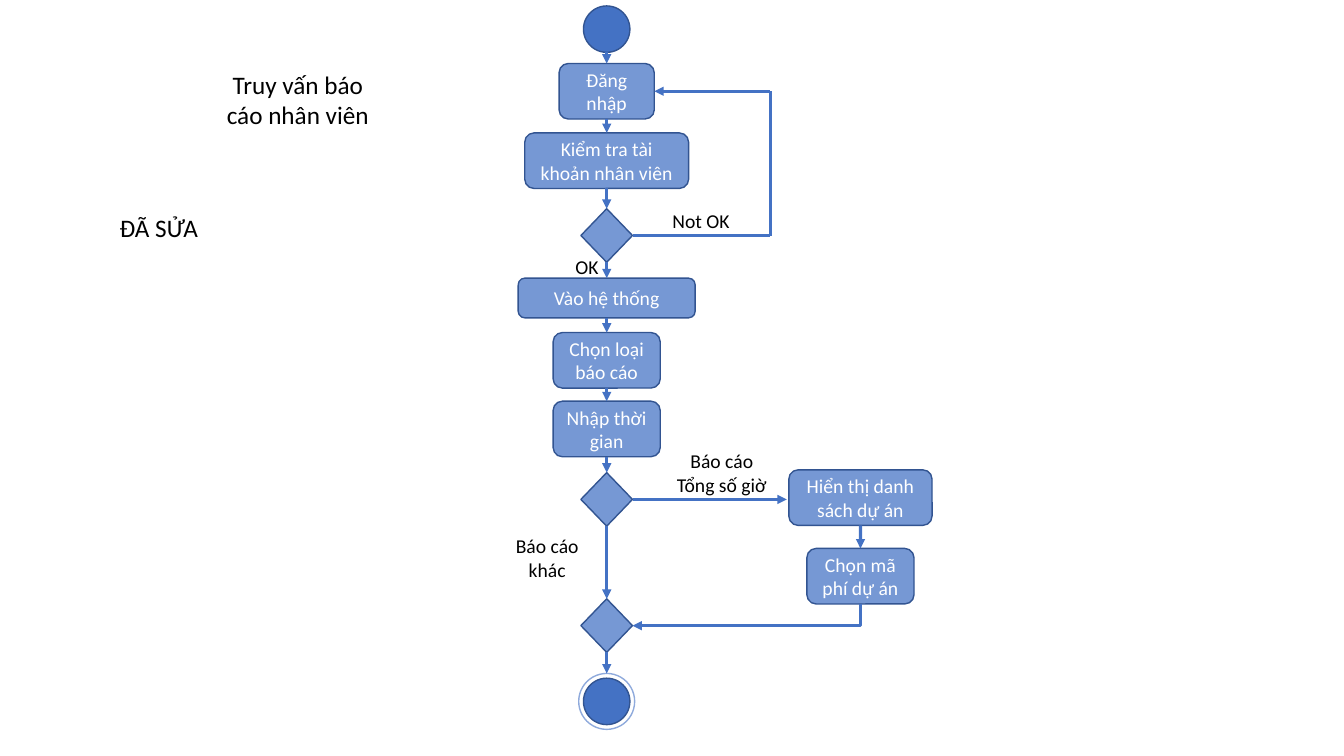
"""Activity diagram slide for querying employee reports."""
import dataclasses

import pptx
import pptx.dml.color
import pptx.enum.shapes
import pptx.enum.text
import pptx.oxml
import pptx.oxml.ns
import pptx.util

Cm = pptx.util.Cm
Pt = pptx.util.Pt
RGB = pptx.dml.color.RGBColor.from_string
SHAPE = pptx.enum.shapes.MSO_SHAPE
CONNECTOR = pptx.enum.shapes.MSO_CONNECTOR
TOP, LEFT, BOTTOM, RIGHT = range(4)


@dataclasses.dataclass(frozen=True)
class Theme:
    """Colours, type sizes and line widths in one place."""
    step: str = "7698D4"
    accent: str = "4472C4"
    outline: str = "325491"
    ring: str = "8FAADC"
    light: str = "FFFFFF"
    dark: str = "000000"
    font: str = "Calibri"
    head: int = 18
    body: int = 14
    thin: float = 1
    thick: float = 2.25


THEME = Theme()
STEP_H = 1.4
DECISION_W, DECISION_H = 1.3, 1.35
DOT = 1.17
RING = 1.41


def write(sp, text, size, color):
    """Write one centred, vertically centred run into a shape."""
    tf = sp.text_frame
    tf.word_wrap = True
    tf.auto_size = pptx.enum.text.MSO_AUTO_SIZE.NONE
    tf.vertical_anchor = pptx.enum.text.MSO_ANCHOR.MIDDLE
    p = tf.paragraphs[0]
    p.alignment = pptx.enum.text.PP_ALIGN.CENTER
    r = p.add_run()
    r.text = text
    r.font.name = THEME.font
    r.font.size = Pt(size)
    r.font.color.rgb = RGB(color)


def node(s, kind, cx, y, w, h, text="", fill=THEME.step, line=THEME.outline):
    """Add a flow node centred on cx with its top at y."""
    sp = s.shapes.add_shape(kind, Cm(cx - w / 2), Cm(y), Cm(w), Cm(h))
    sp.shadow.inherit = False
    if fill:
        sp.fill.solid()
        sp.fill.fore_color.rgb = RGB(fill)
    else:
        sp.fill.background()
    sp.line.color.rgb = RGB(line)
    sp.line.width = Pt(THEME.thin)
    if text:
        write(sp, text, THEME.body, THEME.light)
    return sp


def label(s, box, text, size=THEME.body):
    """Add a text box in the given box."""
    write(s.shapes.add_textbox(*map(Cm, box)), text, size, THEME.dark)


def link(s, start, end, head=True, kind=CONNECTOR.STRAIGHT):
    """Connect two ends, each a point or a (shape, side) pair."""
    joined = [isinstance(e[0], pptx.shapes.autoshape.Shape) for e in (start, end)]
    points = [(0, 0) if j else e for j, e in zip(joined, (start, end))]
    con = s.shapes.add_connector(kind, *points[0], *points[1])
    if joined[0]:
        con.begin_connect(*start)
    if joined[1]:
        con.end_connect(*end)
    con.line.color.rgb = RGB(THEME.accent)
    con.line.width = Pt(THEME.thick)
    if head:
        pptx.oxml.ns.qn("a:tailEnd")
        ln = con.line._get_or_add_ln()
        ln.append(pptx.oxml.parse_xml(
            f'<a:tailEnd {pptx.oxml.ns.nsdecls("a")} type="triangle"/>'))
    con._element.spPr.append(pptx.oxml.parse_xml(
        f'<a:effectLst {pptx.oxml.ns.nsdecls("a")}/>'))
    return con


def corner_link(s, start, end):
    """Connect down and then left with a single bend."""
    con = link(s, start, end, kind=CONNECTOR.ELBOW)
    x1, y1, x2, y2 = con.begin_x, con.begin_y, con.end_x, con.end_y
    w, h = y2 - y1, x1 - x2
    con.left, con.top = (x1 + x2 - w) // 2, (y1 + y2 - h) // 2
    con.width, con.height = w, h
    spPr = con._element.spPr
    xfrm = spPr.find(pptx.oxml.ns.qn("a:xfrm"))
    xfrm.attrib.pop("flipH", None)
    xfrm.set("rot", "5400000")
    spPr.find(pptx.oxml.ns.qn("a:prstGeom")).set("prst", "bentConnector2")


def main_flow(s, box):
    """Build the central column and return its two lower decisions."""
    x, y, w, h = box
    cx = x + w / 2
    steps = [
        ("Đăng nhập", 1.45, 2.4, STEP_H),
        ("Kiểm tra tài khoản nhân viên", 3.2, 4.13, STEP_H),
        (None, 5.11, DECISION_W, DECISION_H),
        ("Vào hệ thống", 6.86, w, 1),
        ("Chọn loại báo cáo", 8.23, 2.7, STEP_H),
        ("Nhập thời gian", 9.96, 2.7, STEP_H),
        (None, 11.76, DECISION_W, DECISION_H),
        (None, 14.94, DECISION_W, DECISION_H),
    ]
    node(s, SHAPE.OVAL, cx, y, DOT, DOT, fill=THEME.accent)
    nodes = [
        node(s, SHAPE.ROUNDED_RECTANGLE if text else SHAPE.FLOWCHART_DECISION,
             cx, y + top, width, height, text)
        for text, top, width, height in steps
    ]
    ring_y = y + h - RING
    node(s, SHAPE.OVAL, cx, ring_y + (RING - DOT) / 2, DOT, DOT, fill=THEME.accent)
    ring = node(s, SHAPE.OVAL, cx, ring_y, RING, RING, fill=None, line=THEME.ring)
    link(s, (Cm(cx), Cm(y + DOT)), (nodes[0], TOP))
    for above, below in zip(nodes, nodes[1:] + [ring]):
        link(s, (above, BOTTOM), (below, TOP))
    retry_loop(s, nodes[2], nodes[0], x + 6.35)
    label(s, (x + 3.58, y + 4.8, 2.06, 1.22), "Not OK")
    label(s, (x + 1, y + 6.25, 1.47, 0.66), "OK")
    label(s, (x - 0.54, y + 13.29, 2.54, 1.22), "Báo cáo khác")
    return nodes[6], nodes[7]


def retry_loop(s, check, login, x):
    """Lead a failed check back to the login step along a line at x."""
    low = (Cm(x), check.top + check.height // 2)
    high = (Cm(x), login.top + login.height // 2)
    link(s, (check, RIGHT), low, head=False)
    link(s, low, high, head=False)
    link(s, high, (login, RIGHT))


def report_branch(s, box, choice, merge):
    """Build the project branch between the choice and merge decisions."""
    x, y, w, h = box
    cx = x + w / 2
    projects = node(s, SHAPE.ROUNDED_RECTANGLE, cx, y, w, STEP_H,
                    "Hiển thị danh sách dự án")
    code = node(s, SHAPE.ROUNDED_RECTANGLE, cx, y + h - STEP_H, 2.7, STEP_H,
                "Chọn mã phí dự án")
    link(s, (choice, RIGHT), (Cm(x - 0.05), choice.top + choice.height // 2))
    link(s, (projects, BOTTOM), (code, TOP))
    corner_link(s, (code, BOTTOM), (merge, RIGHT))
    label(s, (x - 3.2, y - 0.54, 3.02, 1.22), "Báo cáo Tổng số giờ")


def heading(s, box):
    """Place the title and the status note below it."""
    x, y, w, h = box
    title = s.shapes.title
    title.left, title.top, title.width, title.height = map(Cm, box)
    write(title, "Truy vấn báo cáo nhân viên", THEME.head, THEME.dark)
    label(s, (x - 4.26, y + 3.23, 5.97, h), "ĐÃ SỬA", THEME.head)


def main():
    """Build the slide and save it."""
    prs = pptx.Presentation()
    prs.slide_width, prs.slide_height = Cm(33.87), Cm(19.05)
    s = prs.slides.add_slide(prs.slide_layouts[5])
    heading(s, (5.28, 1.9, 4.45, 1.22))
    choice, merge = main_flow(s, (13.06, 0.15, 4.46, 18.23))
    report_branch(s, (19.88, 11.84, 3.61, 3.38), choice, merge)
    prs.save("out.pptx")


if __name__ == "__main__":
    main()
